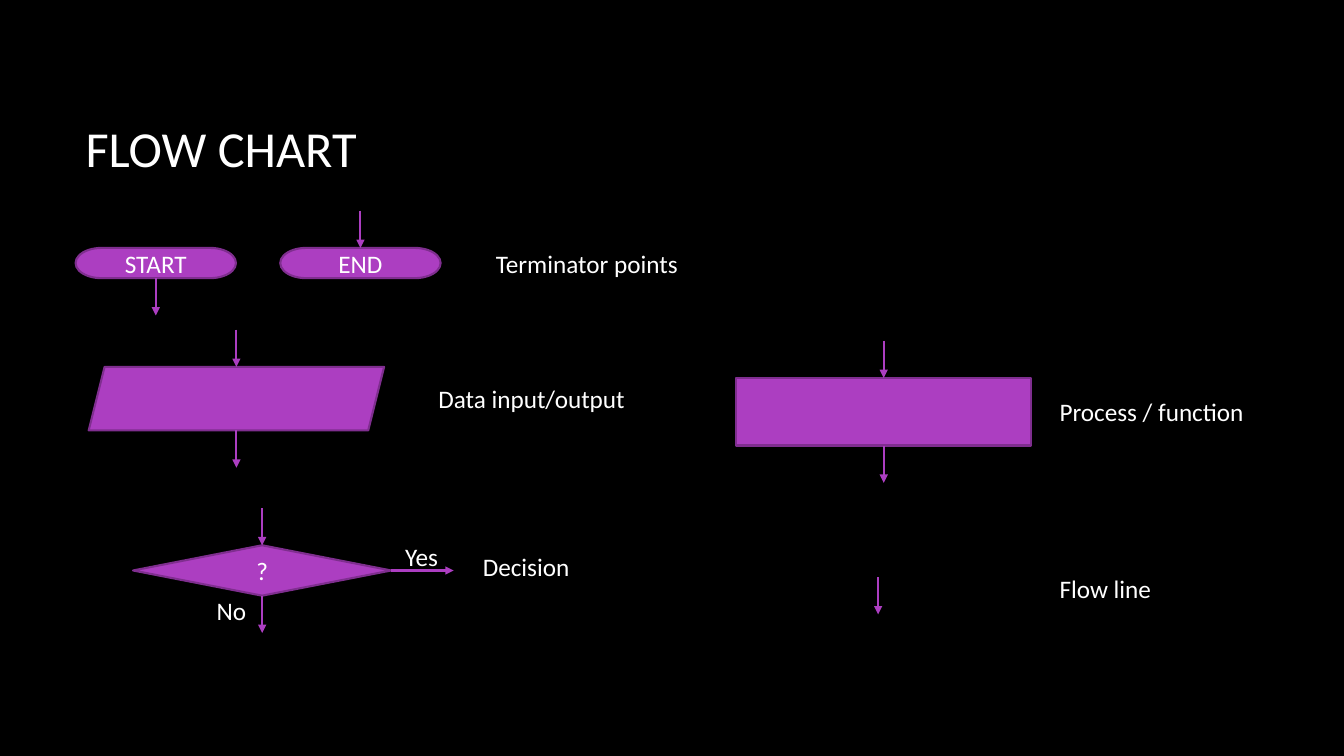
import pptx
import pptx.dml.color
import pptx.enum.shapes
import pptx.enum.text
import pptx.oxml
import pptx.oxml.ns
import pptx.util

RGBColor = pptx.dml.color.RGBColor
BLACK = RGBColor(0x00, 0x00, 0x00)
WHITE = RGBColor(0xFF, 0xFF, 0xFF)
PURPLE = RGBColor(0xAC, 0x3E, 0xC1)
DARK_PURPLE = RGBColor(0x7F, 0x2E, 0x8F)
FONT = "Calibri"
FLOW = 0.37
LABEL_H = 0.4
TOP, BOTTOM, RIGHT = 0, 2, 3

SHAPE = pptx.enum.shapes.MSO_SHAPE
ANCHOR = pptx.enum.text.MSO_ANCHOR
ALIGN = pptx.enum.text.PP_ALIGN


def inches(*lengths):
    return [pptx.util.Inches(v) for v in lengths]


def add_run(p, text, size=18):
    r = p.add_run()
    r.text = text
    r.font.name = FONT
    r.font.size = pptx.util.Pt(size)
    r.font.color.rgb = WHITE


def add_label(s, text, x, y, w):
    tf = s.shapes.add_textbox(*inches(x, y, w, LABEL_H)).text_frame
    tf.word_wrap = False
    tf.auto_size = pptx.enum.text.MSO_AUTO_SIZE.SHAPE_TO_FIT_TEXT
    add_run(tf.paragraphs[0], text)


def add_symbol(s, kind, box, text=None):
    sp = s.shapes.add_shape(kind, *inches(*box))
    sp.shadow.inherit = False
    sp.fill.solid()
    sp.fill.fore_color.rgb = PURPLE
    sp.line.color.rgb = DARK_PURPLE
    sp.line.width = pptx.util.Pt(1.5)
    if text:
        tf = sp.text_frame
        tf.vertical_anchor = ANCHOR.MIDDLE
        tf.paragraphs[0].alignment = ALIGN.CENTER
        add_run(tf.paragraphs[0], text)
    return sp


def add_arrow(s, x, y, dx=0, dy=FLOW):
    line = s.shapes.add_connector(
        pptx.enum.shapes.MSO_CONNECTOR.STRAIGHT, *inches(x, y, x + dx, y + dy))
    line.line.color.rgb = PURPLE
    line.line.width = pptx.util.Pt(1.5)
    ln = line.line._get_or_add_ln()
    tail = pptx.oxml.parse_xml(
        '<a:tailEnd %s type="triangle"/>' % pptx.oxml.ns.nsdecls("a"))
    ln.append(tail)
    line._element.spPr.append(
        pptx.oxml.parse_xml("<a:effectLst %s/>" % pptx.oxml.ns.nsdecls("a")))
    return line


def arrow_in(s, box):
    x, y, w, h = box
    return add_arrow(s, x + w / 2, y - FLOW)


def arrow_out(s, box):
    x, y, w, h = box
    return add_arrow(s, x + w / 2, y + h)


def draw_title(s, box):
    tf = s.shapes.add_textbox(*inches(*box)).text_frame
    tf.word_wrap = True
    tf.vertical_anchor = ANCHOR.MIDDLE
    add_run(tf.paragraphs[0], "FLOW CHART", 36)


def draw_terminators(s, box):
    x, y, w, h = box
    start_box = (x, y, 1.59, h)
    end_box = (x + w - 1.59, y, 1.59, h)
    start = add_symbol(s, SHAPE.FLOWCHART_TERMINATOR, start_box, "START")
    end = add_symbol(s, SHAPE.FLOWCHART_TERMINATOR, end_box, "END")
    arrow_out(s, start_box).begin_connect(start, BOTTOM)
    arrow_in(s, end_box).end_connect(end, TOP)
    add_label(s, "Terminator points", x + w + 0.45, y - 0.05, 2.03)


def draw_data(s, box):
    x, y, w, h = box
    add_symbol(s, SHAPE.PARALLELOGRAM, box)
    arrow_in(s, box)
    arrow_out(s, box)
    add_label(s, "Data input/output", x + w + 0.44, y + 0.11, 2.07)


def draw_process(s, box):
    x, y, w, h = box
    process = add_symbol(s, SHAPE.FLOWCHART_PROCESS, box)
    arrow_in(s, box).end_connect(process, TOP)
    arrow_out(s, box).begin_connect(process, BOTTOM)
    add_label(s, "Process / function", x + w + 0.18, y + 0.13, 2.05)


def draw_decision(s, box):
    x, y, w, h = box
    decision = add_symbol(s, SHAPE.FLOWCHART_DECISION, box, "?")
    arrow_in(s, box).end_connect(decision, TOP)
    arrow_out(s, box).begin_connect(decision, BOTTOM)
    yes = add_arrow(s, x + w, y + h / 2, 0.62, 0)
    yes.begin_connect(decision, RIGHT)
    add_label(s, "Yes", x + w + 0.04, y - 0.09, 0.53)
    add_label(s, "No", x + w / 2 - 0.55, y + h - 0.05, 0.5)
    add_label(s, "Decision", x + w + 0.81, y + 0.01, 1.07)


def draw_flow_line(s, box):
    x, y, w, h = box
    add_arrow(s, x, y + (h - FLOW) / 2)
    add_label(s, "Flow line", x + w, y, 1.12)


def main():
    prs = pptx.Presentation()
    prs.slide_width, prs.slide_height = inches(13.33, 7.5)
    s = prs.slides.add_slide(prs.slide_layouts[6])
    s.background.fill.solid()
    s.background.fill.fore_color.rgb = BLACK

    draw_title(s, (0.75, 0.67, 11.08, 1.59))
    draw_terminators(s, (0.75, 2.46, 3.62, 0.3))
    draw_data(s, (0.88, 3.64, 2.93, 0.63))
    draw_process(s, (7.3, 3.75, 2.93, 0.67))
    draw_decision(s, (1.32, 5.41, 2.56, 0.5))
    draw_flow_line(s, (8.71, 5.64, 1.7, 0.54))
    prs.save("out.pptx")


if __name__ == "__main__":
    main()
